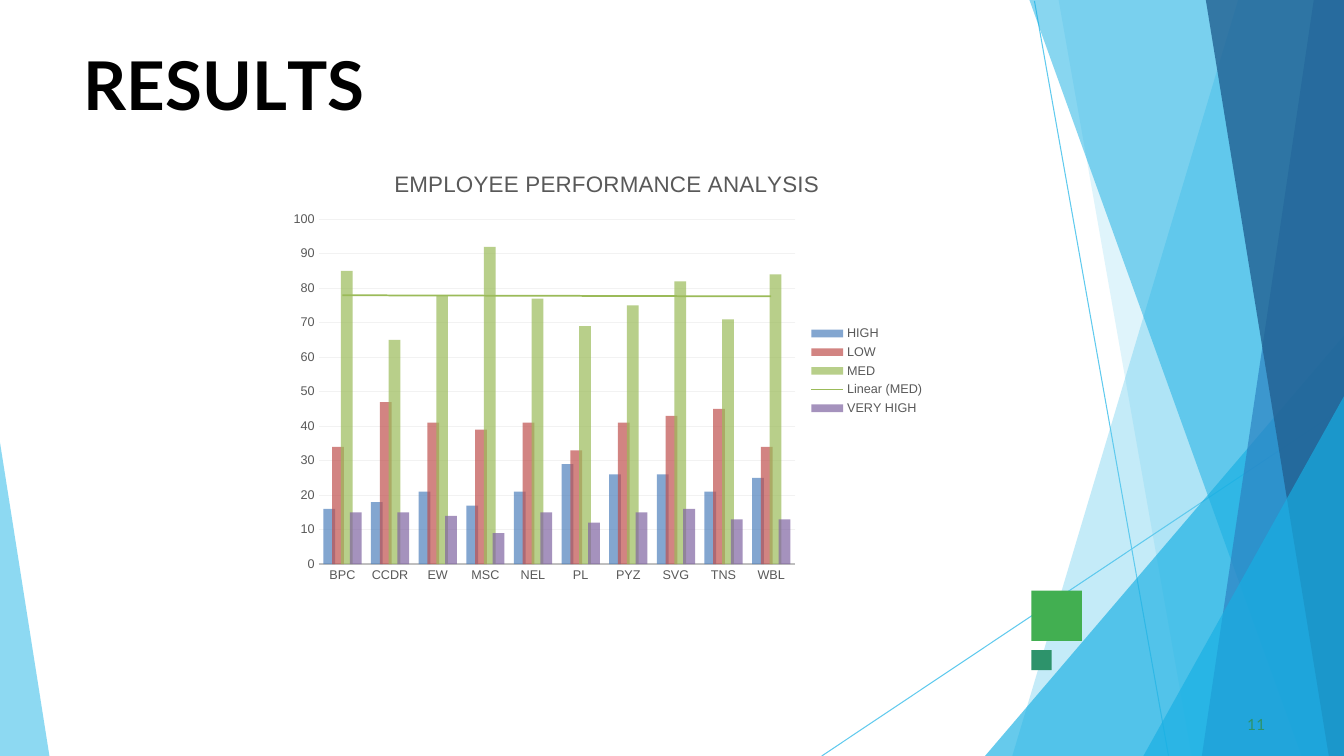
from lxml import etree
from pptx import Presentation
from pptx.chart.data import CategoryChartData
from pptx.dml.color import RGBColor
from pptx.enum.chart import XL_CHART_TYPE as ChartType, XL_LEGEND_POSITION as LegendPosition
from pptx.enum.chart import XL_TICK_MARK as TickMark
from pptx.enum.shapes import MSO_CONNECTOR as Connector, MSO_SHAPE as Preset
from pptx.enum.text import MSO_ANCHOR as Anchor, PP_ALIGN as Align
from pptx.oxml import parse_xml
from pptx.oxml.ns import nsdecls, qn
from pptx.util import Inches, Pt

# Content
WIDTH, HEIGHT = 13.33, 7.5
COLORS = {
    "black": "000000", "sky": "5FCAEE", "cyan": "17AFE3", "blue": "2D83C3", "navy": "226192",
    "green": "42AF51", "teal": "2D936B", "label": "595959", "axis": "BFBFBF", "grid": "F2F2F2",
    "high": "4F81BD", "low": "C0504D", "med": "9BBB59", "very high": "8064A2",
}
# Title letters with their spacing in hundredths of a point
TITLE_RUNS = [("R", 0), ("E", -40), ("S", 10), ("U", -30), ("L", -410), ("TS", 0)]
PAGE_NUMBER = "11"
CHART_TITLE = "EMPLOYEE PERFORMANCE ANALYSIS"
TEAMS = ["BPC", "CCDR", "EW", "MSC", "NEL", "PL", "PYZ", "SVG", "TNS", "WBL"]
RATINGS = {
    "HIGH": [16, 18, 21, 17, 21, 29, 26, 26, 21, 25],
    "LOW": [34, 47, 41, 39, 41, 33, 41, 43, 45, 34],
    "MED": [85, 65, 78, 92, 77, 69, 75, 82, 71, 84],
    "VERY HIGH": [15, 15, 14, 9, 15, 12, 15, 16, 13, 13],
}
BAR_OPACITY = 70
PLOT_AREA = {"x": 0.06, "y": 0.155, "w": 0.727, "h": 0.785}  # shares of the chart

# Background: lines as (start, end), bands as (top x, top y, bottom x, color, opacity)
THIN_LINES = [((10.26, 0.01), (11.59, HEIGHT)), ((WIDTH, 4.04), (8.15, HEIGHT))]
RIGHT_BANDS = [
    (12.28, 0, 10.04, "sky", 37),
    (10.5, 0, 11.82, "sky", 20),
    (WIDTH, 3.33, 9.77, "cyan", 66),
    (10.21, 0, 12.91, "cyan", 51),
    (13.03, 0, 11.92, "blue", 71),
    (11.96, 0, 13.18, "navy", 80),
    (WIDTH, 3.93, 11.34, "cyan", 66),
]
LEFT_WEDGE = [(0, 4.39), (0, HEIGHT), (0.49, HEIGHT)]
SQUARES = [(10.23, 5.86, 0.5, "green"), (10.23, 6.45, 0.2, "teal")]


def rgb(name):
    return RGBColor.from_string(COLORS[name])


def paint(fill, color, opacity=100):
    fill.solid()
    fill.fore_color.rgb = rgb(color)
    if opacity < 100:
        for element in fill._xPr.iter(qn("a:srgbClr")):
            etree.SubElement(element, qn("a:alpha")).set("val", str(opacity * 1000))


def finish(shape, color, opacity=100):
    paint(shape.fill, color, opacity)
    shape.line.fill.background()
    shape.shadow.inherit = False


def add_band(slide, points, color, opacity):
    start, *others = [(x * 100, y * 100) for x, y in points]
    builder = slide.shapes.build_freeform(*start, scale=Inches(0.01))
    builder.add_line_segments(others, close=True)
    finish(builder.convert_to_shape(), color, opacity)


def style_font(font, size, color, name="Arial", bold=False):
    font.size, font.name, font.bold = Pt(size), name, bold
    font.color.rgb = rgb(color)


def add_run(paragraph, text, size, color, spacing, name="Lato", bold=False):
    run = paragraph.add_run()
    run.text = text
    style_font(run.font, size, color, name, bold)
    run._r.get_or_add_rPr().set("spc", str(spacing))


def prepare_text(shape, left, top, width, height, space_before):
    shape.left, shape.top = Inches(left), Inches(top)
    shape.width, shape.height = Inches(width), Inches(height)
    frame = shape.text_frame
    frame.margin_left = frame.margin_right = frame.margin_bottom = 0
    frame.margin_top = Inches(0.01)
    frame.vertical_anchor = Anchor.TOP
    frame.word_wrap = True
    paragraph = frame.paragraphs[0]
    paragraph.alignment = Align.LEFT
    paragraph.space_before = Pt(space_before)
    return paragraph


def add_background(slide):
    for start, end in THIN_LINES:
        line = slide.shapes.add_connector(Connector.STRAIGHT, *map(Inches, start + end))
        line.line.color.rgb = rgb("sky")
        line.line.width = Pt(0.75)
        etree.SubElement(line._element.spPr, qn("a:effectLst"))
    for top_x, top_y, bottom_x, color, opacity in RIGHT_BANDS:
        points = [(WIDTH, top_y), (top_x, top_y), (bottom_x, HEIGHT), (WIDTH, HEIGHT)]
        add_band(slide, list(dict.fromkeys(points)), color, opacity)
    add_band(slide, LEFT_WEDGE, "sky", 71)
    for left, top, side, color in SQUARES:
        box = map(Inches, (left, top, side, side))
        finish(slide.shapes.add_shape(Preset.RECTANGLE, *box), color)


def add_performance_chart(slide):
    data = CategoryChartData()
    data.categories = TEAMS
    for name, values in RATINGS.items():
        data.add_series(name, values)
    box = map(Inches, (2.77, 1.5, 6.5, 4.36))
    chart = slide.shapes.add_chart(ChartType.COLUMN_CLUSTERED, *box, data).chart
    style_font(chart.font, 10, "black")

    # Title and legend
    chart.has_title = True
    add_run(chart.chart_title.text_frame.paragraphs[0], CHART_TITLE, 16, "label", 30, "Arial")
    chart.has_legend = True
    chart.legend.position = LegendPosition.RIGHT
    chart.legend.include_in_layout = False
    style_font(chart.legend.font, 9, "label")

    # Axes
    for axis in (chart.category_axis, chart.value_axis):
        axis.major_tick_mark = axis.minor_tick_mark = TickMark.NONE
        style_font(axis.tick_labels.font, 9, "label")
    chart.category_axis.format.line.color.rgb = rgb("axis")
    chart.category_axis.format.line.width = Pt(1.25)
    values = chart.value_axis
    values.minimum_scale, values.maximum_scale, values.major_unit = 0, 100, 10
    values.format.line.fill.background()
    values.major_gridlines.format.line.color.rgb = rgb("grid")
    values.major_gridlines.format.line.width = Pt(0.75)

    # Columns
    plot = chart.plots[0]
    plot.gap_width, plot.overlap, plot.vary_by_categories = 80, 25, False
    for series in plot.series:
        paint(series.format.fill, series.name.lower(), BAR_OPACITY)
        series.invert_if_negative = False
        if series.name == "MED":
            series._element.find(qn("c:cat")).addprevious(parse_xml(
                f'<c:trendline {nsdecls("c", "a")}><c:spPr><a:ln w="{Pt(1.25)}"><a:solidFill>'
                f'<a:srgbClr val="{COLORS["med"]}"/></a:solidFill></a:ln></c:spPr>'
                '<c:trendlineType val="linear"/><c:dispRSqr val="0"/><c:dispEq val="0"/>'
                '</c:trendline>'))

    # Plot position inside the chart
    plot_area = chart._chartSpace.chart.plotArea
    for old_layout in plot_area.findall(qn("c:layout")):
        plot_area.remove(old_layout)
    shares = "".join(f'<c:{key} val="{share}"/>' for key, share in PLOT_AREA.items())
    plot_area.insert(0, parse_xml(
        f'<c:layout {nsdecls("c")}><c:manualLayout><c:layoutTarget val="inner"/>'
        f'<c:xMode val="edge"/><c:yMode val="edge"/>{shares}</c:manualLayout></c:layout>'))


def main():
    presentation = Presentation()
    presentation.slide_width, presentation.slide_height = Inches(WIDTH), Inches(HEIGHT)
    slide = presentation.slides.add_slide(presentation.slide_layouts[5])
    add_background(slide)

    heading = prepare_text(slide.shapes.title, 0.83, 0.42, 3.11, 0.81, 1.1)
    for text, spacing in TITLE_RUNS:
        add_run(heading, text, 48, "black", spacing, bold=True)

    number_box = slide.shapes.add_textbox(0, 0, 0, 0)
    number = prepare_text(number_box, 12.33, 7.08, 0.25, 0.19, 0.5)
    number._p.get_or_add_pPr().set("marL", str(Inches(0.04)))
    add_run(number, PAGE_NUMBER, 11, "teal", 10)

    add_performance_chart(slide)
    presentation.save("out.pptx")


if __name__ == "__main__":
    main()
